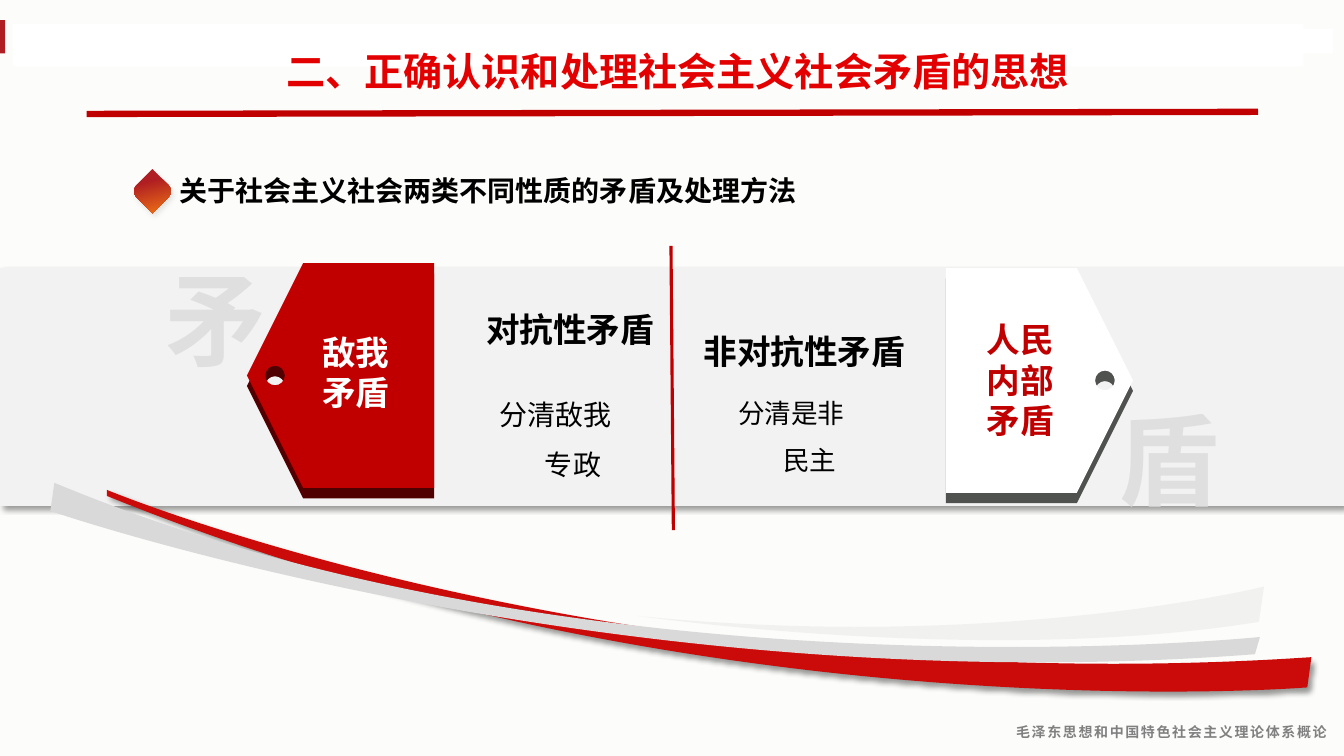
from dataclasses import dataclass
from math import cos, radians, sin

from lxml.etree import SubElement
from pptx import Presentation
from pptx.dml.color import RGBColor
from pptx.enum.shapes import MSO_CONNECTOR, MSO_SHAPE
from pptx.enum.text import MSO_AUTO_SIZE, PP_ALIGN
from pptx.oxml.ns import qn
from pptx.util import Pt


@dataclass(frozen=True)
class Theme:
    font: str = "Noto Sans CJK SC"
    paper: str = "FCFDFA"
    white: str = "FFFFFF"
    black: str = "000000"
    band: str = "F2F2F2"
    silver: str = "D9D9D9"
    grey: str = "808080"
    red: str = "C00000"
    title_red: str = "E30000"
    ribbon_red: str = "CB0B0A"
    brick: str = "AF1E22"
    orange: str = "EB6E16"
    red_side: str = "500000"
    white_side: str = "505250"
    footer_size: float = 10
    method_size: float = 19
    body_size: float = 20
    label_size: float = 24
    title_size: float = 28
    mark_size: float = 72


def set_alpha(element, percent):
    """Make the first colour under the element partly transparent."""
    color = element.find(".//" + qn("a:srgbClr"))
    SubElement(color, qn("a:alpha"), val=str(percent * 1000))


def turn(point, center, degrees):
    """Rotate a point clockwise about a center."""
    angle = radians(degrees)
    x, y = point[0] - center[0], point[1] - center[1]
    return (center[0] + x * cos(angle) - y * sin(angle),
            center[1] + x * sin(angle) + y * cos(angle))


def circle(x, y, radius):
    """Outline steps of a circle made of four curves."""
    bend = radius * 0.55
    quarter = [(radius, 0), (radius, bend), (bend, radius), (0, radius)]
    steps = [("moveTo", (x + radius, y))]
    for degrees in range(0, 360, 90):
        arc = [turn((x + dx, y + dy), (x, y), degrees) for dx, dy in quarter]
        steps.append(("cubicBezTo", *arc[1:]))
    return steps + [("close",)]


class SlideBuilder:
    def __init__(self, page, theme):
        self.page = page
        self.theme = theme
        background = page.background.fill
        background.solid()
        background.fore_color.rgb = RGBColor.from_string(theme.paper)

    def finish(self, shape, color, alpha=None, shadow=None):
        """Fill a shape; shadow is (opacity percent, direction in degrees)."""
        shape.fill.solid()
        shape.fill.fore_color.rgb = RGBColor.from_string(color)
        shape.line.fill.background()
        shape.shadow.inherit = False
        properties = shape._element.spPr
        if alpha:
            set_alpha(properties, alpha)
        if shadow:
            opacity, direction = shadow
            outer = SubElement(
                properties.find(qn("a:effectLst")), qn("a:outerShdw"),
                blurRad=str(Pt(4)), dist=str(Pt(3)), dir=str(direction * 60000),
                algn="tl", rotWithShape="0")
            tint = SubElement(outer, qn("a:srgbClr"), val=self.theme.black)
            SubElement(tint, qn("a:alpha"), val=str(opacity * 1000))
        return shape

    def shape(self, kind, left, top, width, height, color, **style):
        shape = self.page.shapes.add_shape(
            kind, Pt(left), Pt(top), Pt(width), Pt(height))
        return self.finish(shape, color, **style)

    def outline(self, left, top, width, height, steps, color, **style):
        """Draw straight and curved steps, given in slide points, in a frame."""
        right, bottom = left + width, top + height
        builder = self.page.shapes.build_freeform(Pt(left), Pt(top), scale=1.0)
        builder.add_line_segments([(Pt(right), Pt(top)), (Pt(right), Pt(bottom)),
                                   (Pt(left), Pt(bottom))])
        shape = builder.convert_to_shape()
        geometry = shape._element.spPr.find(".//" + qn("a:path"))
        for corner in list(geometry):
            geometry.remove(corner)
        for command, *points in steps:
            step = SubElement(geometry, qn("a:" + command))
            for x, y in points:
                SubElement(step, qn("a:pt"), x=str(Pt(x - left)),
                           y=str(Pt(y - top)))
        return self.finish(shape, color, **style)

    def line(self, start, end, width):
        line = self.page.shapes.add_connector(
            MSO_CONNECTOR.STRAIGHT, *(Pt(value) for value in start + end))
        line.line.color.rgb = RGBColor.from_string(self.theme.red)
        line.line.width = Pt(width)
        SubElement(line._element.spPr, qn("a:effectLst"))

    def text(self, left, top, width, height, *lines, size, color=None,
             bold=True, aligns=(PP_ALIGN.LEFT,), spacing=None, wrap=True,
             grow=False, tracking=None, alpha=None):
        """Add a text box with one paragraph and one alignment per line."""
        box = self.page.shapes.add_textbox(
            Pt(left), Pt(top), Pt(width), Pt(height))
        frame = box.text_frame
        frame.word_wrap = wrap
        frame.auto_size = (MSO_AUTO_SIZE.SHAPE_TO_FIT_TEXT if grow
                           else MSO_AUTO_SIZE.NONE)
        for index, (line, align) in enumerate(zip(lines, aligns)):
            para = frame.add_paragraph() if index else frame.paragraphs[0]
            para.alignment = align
            if spacing:
                para.line_spacing = spacing
            span = para.add_run()
            span.text = line
            span.font.size = Pt(size)
            span.font.bold = bold
            span.font.color.rgb = RGBColor.from_string(color or self.theme.black)
            span.font.name = self.theme.font
            properties = span._r.get_or_add_rPr()
            SubElement(properties, qn("a:ea"), typeface=self.theme.font)
            if tracking:
                properties.set("spc", str(round(tracking * 100)))
            if alpha:
                set_alpha(properties, alpha)

    def ribbon(self, frame, there, back, color, **style):
        """Draw a tilted band between two (start, control, end) curves."""
        tilt = 7.3
        left, top, width, height = frame
        center = (left + width / 2, top + height / 2)
        there, back = ([turn(point, center, -tilt) for point in edge]
                       for edge in (there, back))
        steps = [("moveTo", there[0]), ("cubicBezTo", *there),
                 ("lnTo", back[0]), ("cubicBezTo", *back), ("close",)]
        self.outline(*frame, steps, color, **style).rotation = tilt

    def tag(self, flat, tip, top, face, side):
        """Draw a thick pierced label running from its flat edge to its tip."""
        height, depth = 160.5, 7.5
        shoulder = flat + (tip - flat) * 0.7
        hole = flat + (tip - flat) * 0.85
        for edge, color in ((top + depth, side), (top, face)):
            middle, bottom = edge + height / 2, edge + height
            corners = [(shoulder, edge), (tip, middle), (shoulder, bottom),
                       (flat, bottom)]
            steps = [("moveTo", (flat, edge)),
                     *(("lnTo", corner) for corner in corners), ("close",),
                     *circle(hole, middle, 7)]
            self.outline(min(flat, tip), edge, abs(tip - flat), height,
                         steps, color)

    def diamond(self, left, top, side):
        diamond = self.shape(MSO_SHAPE.ROUND_2_DIAG_RECTANGLE, left, top, side,
                             side, self.theme.brick, shadow=(9, 60))
        diamond.adjustments[0] = 0.264
        diamond.adjustments[1] = 0
        diamond.rotation = 315
        diamond.fill.gradient()
        diamond.fill.gradient_angle = 240
        stops = ((0.3, self.theme.brick), (0.94, self.theme.orange))
        for stop, (position, color) in zip(diamond.fill.gradient_stops, stops):
            stop.position = position
            stop.color.rgb = RGBColor.from_string(color)


def main():
    deck = Presentation()
    deck.slide_width, deck.slide_height = Pt(960), Pt(540)
    theme = Theme()
    slide = SlideBuilder(deck.slides.add_slide(deck.slide_layouts[6]), theme)
    block = MSO_SHAPE.RECTANGLE
    soft = (40, 45)
    two_lines = (PP_ALIGN.LEFT, PP_ALIGN.CENTER)

    slide.text(660.2, 506.9, 294.5, 25.2, "毛泽东思想和中国特色社会主义理论体系概论",
               size=theme.footer_size, color=theme.grey, spacing=1.5,
               aligns=(PP_ALIGN.RIGHT,), tracking=1.2, grow=True)
    slide.shape(block, 0, 14.4, 3.6, 23.8, theme.brick)
    slide.shape(block, 0, 191.4, 960, 170, theme.band, shadow=soft)

    slide.text(520.2, 268.2, 116.6, 73.4, "分清是非", "民主", bold=False,
               size=theme.method_size, aligns=two_lines, spacing=1.5)
    slide.text(495.4, 233, 150.5, 37.4, "非对抗性矛盾",
               size=theme.label_size, wrap=False)

    slide.ribbon((69.1, 405.4, 868.3, 64.1),
                 ((76.3, 349.9), (442.8, 502.6), (936.7, 469.4)),
                 ((933.8, 491), (499.7, 526.3), (76.3, 354.2)),
                 theme.ribbon_red, shadow=soft)
    slide.ribbon((31.7, 399.6, 868.3, 56.2),
                 ((36, 365), (434.9, 502.6), (896.4, 467.3)),
                 ((900, 455), (420.5, 504), (38.9, 344.9)), theme.silver)
    slide.ribbon((457.9, 391, 441.4, 77),
                 ((902.9, 419), (713.5, 465.8), (455, 439.9)),
                 ((455, 439.9), (704.9, 475.9), (899.3, 444.2)),
                 theme.silver, alpha=29)

    slide.tag(675.6, 809.3, 191.5, theme.white, theme.white_side)
    slide.text(697.7, 224.6, 78.5, 94.3, "人民内部矛盾",
               size=theme.label_size, color=theme.red, grow=True)
    slide.text(792, 280.8, 87.1, 94.3, "盾", size=theme.mark_size,
               color=theme.silver, alpha=75, grow=True)

    slide.text(349.6, 268.2, 119.5, 78.5, "分清敌我", "专政", bold=False,
               size=theme.body_size, aligns=two_lines, spacing=1.5)
    slide.text(340.1, 217.4, 125.3, 50.4, "对抗性矛盾",
               size=theme.label_size, wrap=False)
    slide.tag(310.1, 176.4, 188, theme.red, theme.red_side)
    slide.text(223.2, 233.6, 78.5, 65.5, "敌我矛盾",
               size=theme.label_size, color=theme.white, grow=True)
    slide.text(111.2, 180.7, 79.9, 94.3, "矛", size=theme.mark_size,
               color=theme.silver, alpha=75, grow=True)

    slide.text(121, 120.5, 455.8, 31.7, "关于社会主义社会两类不同性质的矛盾及处理方法",
               size=theme.body_size, grow=True)
    slide.diamond(97.7, 125.3, 22.3)
    slide.line((479.3, 175.7), (481, 378.7), 2.25)

    slide.shape(block, 694.1, 20.9, 257.8, 17.3, theme.white)
    slide.shape(block, 9.4, 17.3, 921.6, 30.2, theme.white)
    slide.text(131.5, 13.4, 704.9, 58.3, "二、正确认识和处理社会主义社会矛盾的思想",
               size=theme.title_size, color=theme.title_red, spacing=1.5,
               aligns=(PP_ALIGN.CENTER,), grow=True)
    slide.line((61.9, 81.4), (898.6, 79.9), 4.5)
    deck.save("out.pptx")


if __name__ == "__main__":
    main()
